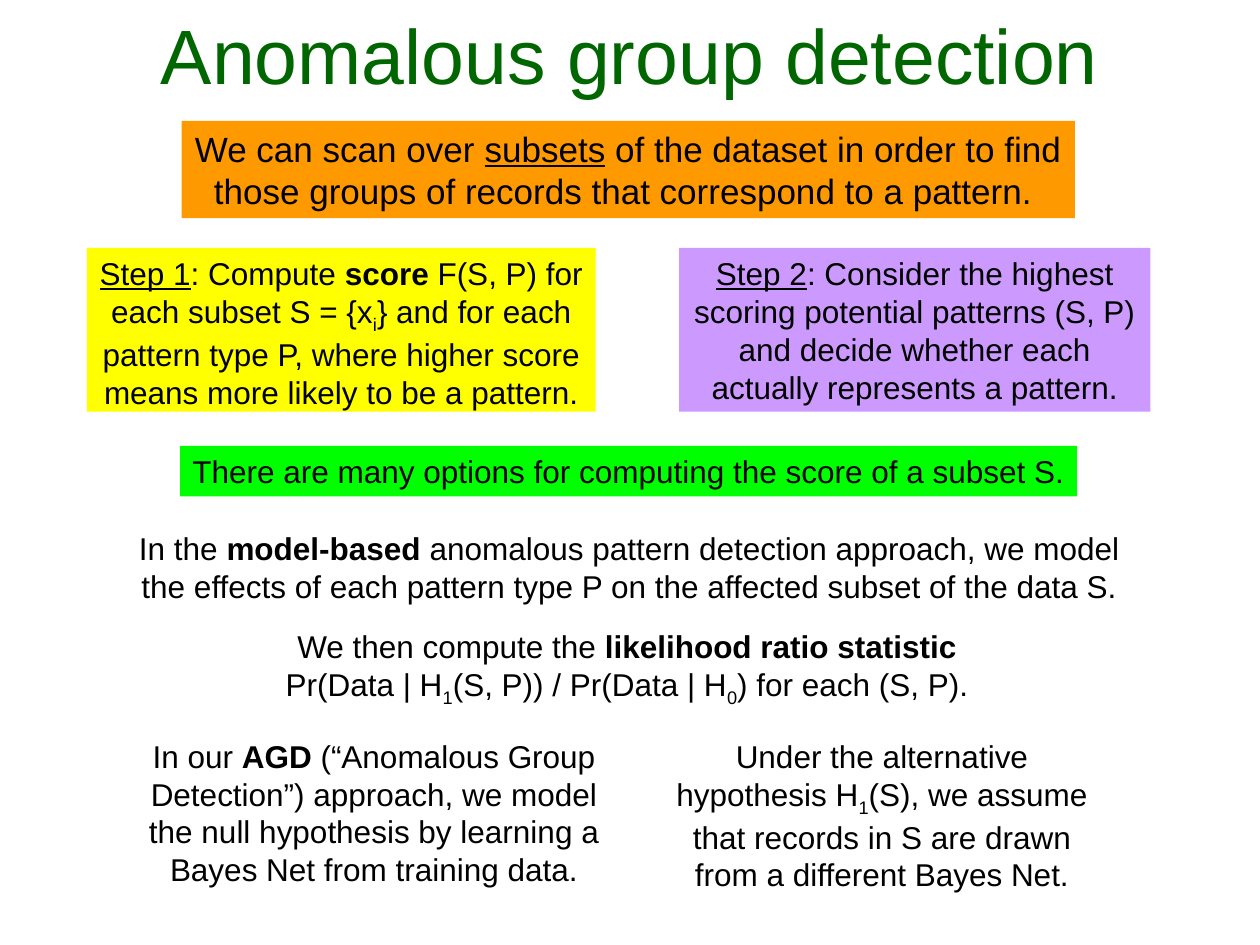
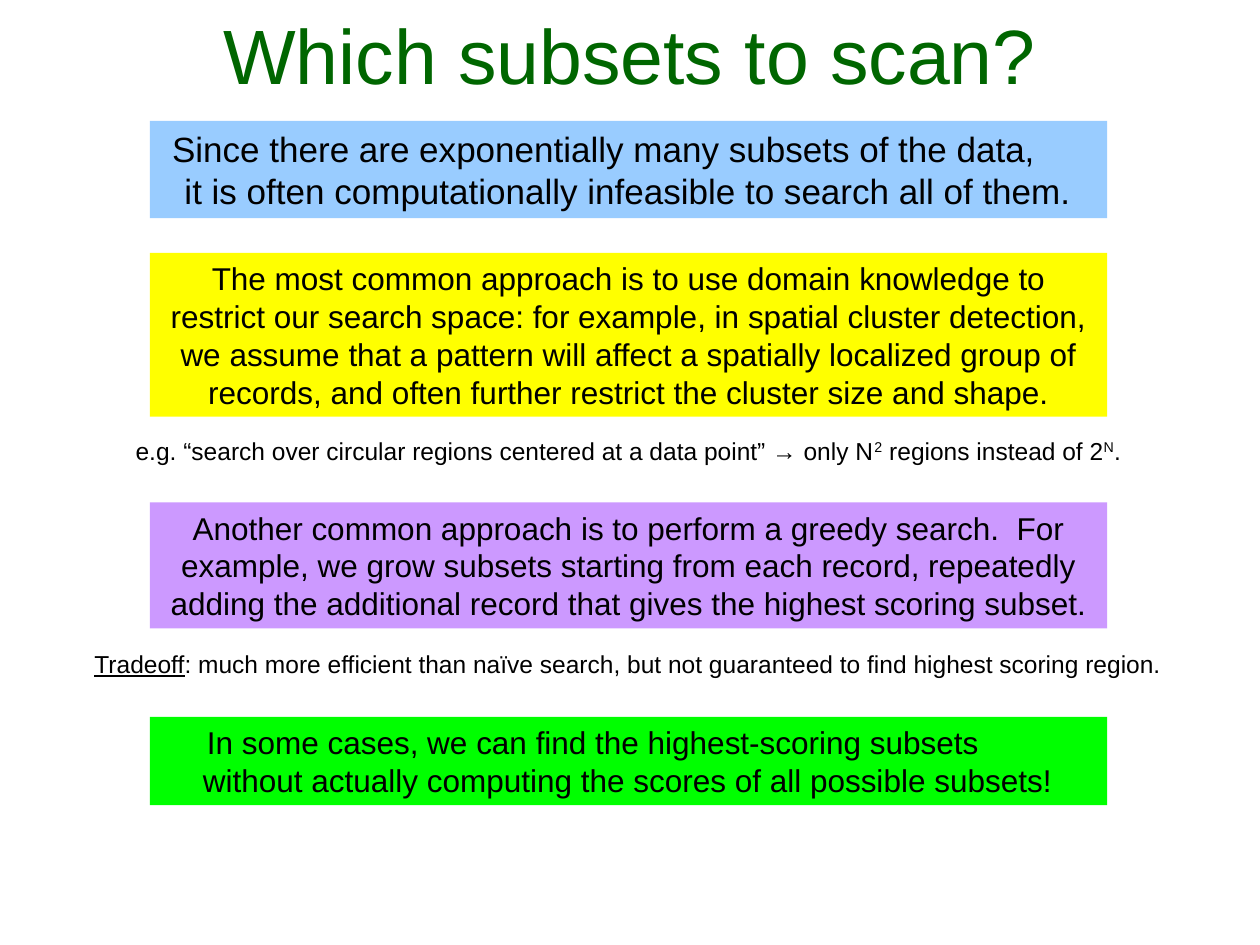
"""Build two slides on anomalous group detection and subset scanning."""
from pptx import Presentation
from pptx.dml.color import RGBColor
from pptx.enum.shapes import MSO_SHAPE as Shape
from pptx.enum.text import MSO_ANCHOR as Anchor, MSO_AUTO_SIZE as AutoSize, PP_ALIGN as Align
from pptx.util import Cm, Pt

BLACK = RGBColor(0x00, 0x00, 0x00)
DARK_GREEN = RGBColor(0x00, 0x66, 0x00)
ORANGE = RGBColor(0xFF, 0x99, 0x00)
YELLOW = RGBColor(0xFF, 0xFF, 0x00)
PURPLE = RGBColor(0xCC, 0x99, 0xFF)
GREEN = RGBColor(0x00, 0xFF, 0x00)
BLUE = RGBColor(0x99, 0xCC, 0xFF)

BOLD = {"bold": True}
UNDERLINE = {"underline": True}
SUBSCRIPT = {"baseline": -25000}
SUPERSCRIPT = {"baseline": 30000}
BREAK = "\n"

BANNER_TOP = 2.44
STEP_TOP, STEP_HEIGHT = 5, 3.3
MODEL_TOP = 14.73
BAND_LEFT, BAND_WIDTH = 3.02, 19.3


def add_text(slide, place, runs, size=18, color=BLACK, fill=None, frame_format=None, hanging=None):
    """Add a text box, or a filled band, with runs given as text or (text, format)."""
    box = [Cm(length) for length in place]
    if fill is None:
        shape = slide.shapes.add_textbox(*box)
    else:
        shape = slide.shapes.add_shape(Shape.RECTANGLE, *box)
        shape.shadow.inherit = False
        shape.fill.solid()
        shape.fill.fore_color.rgb = fill
        shape.line.fill.background()
    frame = shape.text_frame
    defaults = {"word_wrap": True, "vertical_anchor": Anchor.TOP,
                "auto_size": AutoSize.SHAPE_TO_FIT_TEXT}
    for name, value in {**defaults, **(frame_format or {})}.items():
        setattr(frame, name, value)
    paragraph = frame.paragraphs[0]
    paragraph.alignment = Align.CENTER
    if hanging:
        paragraph.alignment = Align.LEFT
        properties = paragraph._p.get_or_add_pPr()
        for name, length in zip(("marL", "indent"), hanging):
            properties.set(name, str(Cm(length)))
    for item in runs:
        if item == BREAK:
            paragraph.add_line_break()
            continue
        text, extra = (item, {}) if isinstance(item, str) else item
        run = paragraph.add_run()
        run.text = text
        run.font.color.rgb = color
        for name, value in {"name": "Arial", "size": Pt(size), **extra}.items():
            if name == "baseline":
                run._r.get_or_add_rPr().set(name, str(value))
            else:
                setattr(run.font, name, value)


presentation = Presentation()
presentation.slide_width, presentation.slide_height = Cm(25.4), Cm(19.05)

slides = []
for title in ("Anomalous group detection", "Which subsets to scan?"):
    slide = presentation.slides.add_slide(presentation.slide_layouts[6])
    add_text(slide, (1.27, 0.2, 22.86, 1.93), [title], size=44, color=DARK_GREEN,
             frame_format={"vertical_anchor": Anchor.BOTTOM, "auto_size": AutoSize.NONE})
    slides.append(slide)
detection, scanning = slides

add_text(detection, (3.66, BANNER_TOP, 18.01, 1.96), [
    "We can scan over ", ("subsets", UNDERLINE),
    " of the dataset in order to find those groups of records that correspond to a pattern. ",
], size=20, fill=ORANGE)
add_text(detection, (1.75, STEP_TOP, 10.26, STEP_HEIGHT), [
    ("Step 1", UNDERLINE), ": Compute ", ("score", BOLD),
    " F(S, P) for each subset S = {x", ("i", SUBSCRIPT),
    "} and for each pattern type P, where higher score means more likely to be a pattern.",
], fill=YELLOW)
add_text(detection, (13.69, STEP_TOP, 9.5, STEP_HEIGHT), [
    ("Step 2", UNDERLINE),
    ": Consider the highest scoring potential patterns (S, P) and decide whether each "
    "actually represents a pattern.",
], fill=PURPLE)
add_text(detection, (3.63, 8.99, 18.08, 1.02), [
    "There are many options for computing the score of a subset S.",
], fill=GREEN, frame_format={"word_wrap": False})
add_text(detection, (2.08, 10.54, 21.21, 1.78), [
    "In the ", ("model-based", BOLD),
    " anomalous pattern detection approach, we model the effects of each pattern type P "
    "on the affected subset of the data S.",
])
add_text(detection, (5.44, 12.52, 14.4, 1.78), [
    "We then compute the ", ("likelihood ratio statistic", BOLD),
    " Pr(Data | H", ("1", SUBSCRIPT), "(S, P)) / Pr(Data | H", ("0", SUBSCRIPT),
    ") for each (S, P).",
])
add_text(detection, (2.41, MODEL_TOP, 10.26, STEP_HEIGHT), [
    "In our ", ("AGD", BOLD),
    " (“Anomalous Group Detection”) approach, we model the null hypothesis by learning "
    "a Bayes Net from training data.",
])
add_text(detection, (13.31, MODEL_TOP, 8.94, STEP_HEIGHT), [
    "Under the alternative hypothesis H", ("1", SUBSCRIPT),
    "(S), we assume that records in S are drawn from a different Bayes Net.",
])

bands = [
    (BANNER_TOP, 1.96, 20, BLUE, (0.45, -0.25), [
        "Since there are exponentially many subsets of the data,", BREAK,
        "it is often computationally infeasible to search all of them."]),
    (5.1, 3.3, 18, YELLOW, None, [
        "The most common approach is to use domain knowledge to restrict our search space: "
        "for example, in spatial cluster detection, we assume that a pattern will affect a "
        "spatially localized group of records, and often further restrict the cluster size "
        "and shape."]),
    (10.13, 2.54, 18, PURPLE, None, [
        "Another common approach is to perform a greedy search.  For example, we grow subsets "
        "starting from each record, repeatedly adding the additional record that gives the "
        "highest scoring subset."]),
    (14.45, 1.78, 18, GREEN, (0.82, 0.08), [
        "In some cases, we can find the highest-scoring subsets", BREAK,
        "without actually computing the scores of all possible subsets!"]),
]
for top, height, size, fill, hanging, runs in bands:
    add_text(scanning, (BAND_LEFT, top, BAND_WIDTH, height), runs,
             size=size, fill=fill, hanging=hanging)

add_text(scanning, (2.16, 8.66, 21.01, 0.84), [
    "e.g. “search over circular regions centered at a data point” → only N",
    ("2", SUPERSCRIPT), " regions instead of 2", ("N", SUPERSCRIPT), ".",
], size=14)
add_text(scanning, (1.45, 12.95, 22.43, 0.84), [
    ("Tradeoff", UNDERLINE),
    ": much more efficient than naïve search, but not guaranteed to find highest scoring region.",
], size=14)

presentation.save("out.pptx")
